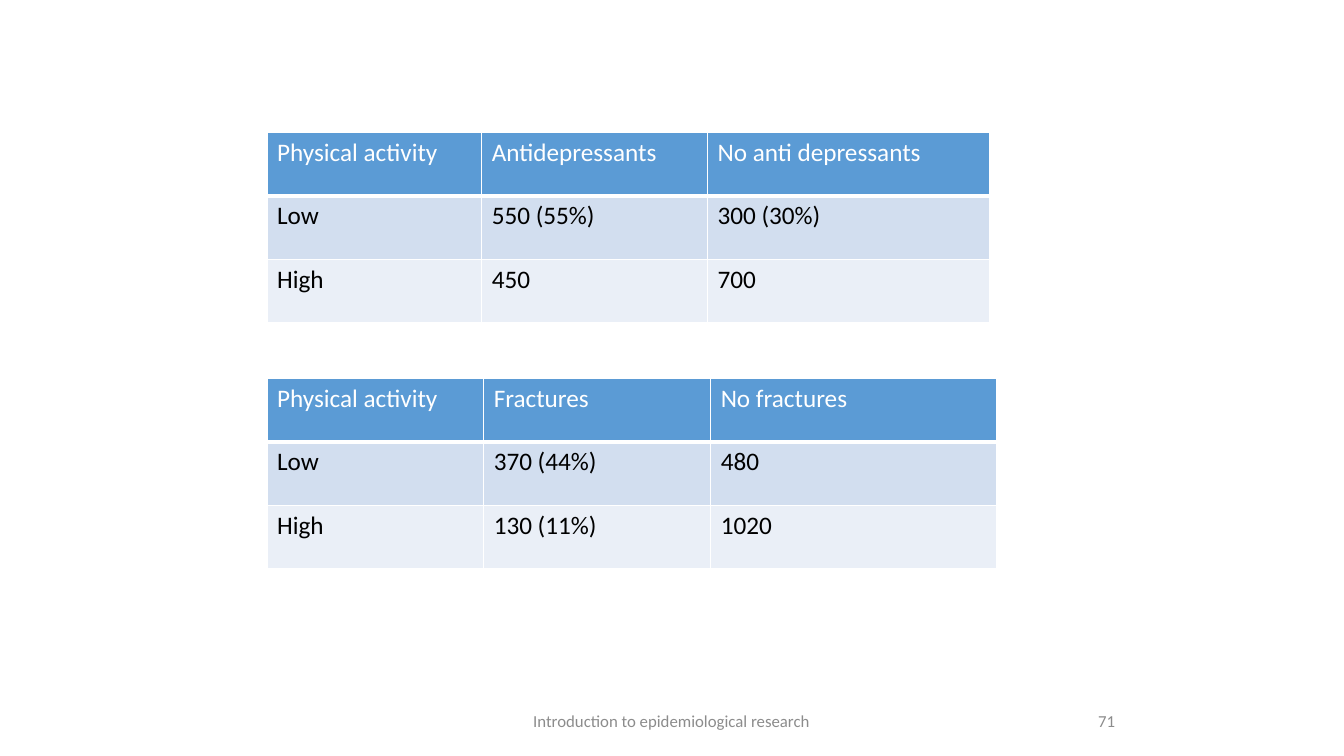
from lxml import etree
from pptx import Presentation
from pptx.dml.color import RGBColor
from pptx.enum import text
from pptx.oxml import ns
from pptx.util import Cm, Pt

FONT = "Calibri"
WHITE, BLACK, GREY = "FFFFFF", "000000", "8C8C8C"
ROW_FILLS = ["5B9BD5", "D2DEEF", "EAEFF7"]
LEFT, ROW_HEIGHT = 6.73, 1.6

ACTIVITY_TABLES = [
    {
        "top": 3.33,
        "widths": [5.41, 5.69, 7.11],
        "rows": [
            ("Physical activity", "Antidepressants", "No anti depressants"),
            ("Low", "550 (55%)", "300 (30%)"),
            ("High", "450", "700"),
        ],
    },
    {
        "top": 9.53,
        "widths": [5.46, 5.72, 7.21],
        "rows": [
            ("Physical activity", "Fractures", "No fractures"),
            ("Low", "370 (44%)", "480"),
            ("High", "130 (11%)", "1020"),
        ],
    },
]

FOOTER_TOP, FOOTER_HEIGHT = 17.65, 1.02
FOOTERS = [
    ("Introduction to epidemiological research", 12.9, 8.05, text.PP_ALIGN.CENTER),
    ("71", 22.43, 5.92, text.PP_ALIGN.RIGHT),
]


def color(value):
    return RGBColor.from_string(value)


def style(paragraph, size, value):
    font = paragraph.font
    font.name, font.size, font.bold = FONT, Pt(size), False
    font.color.rgb = color(value)


def add_borders(cell, bottom):
    properties = cell._tc.get_or_add_tcPr()
    for side, width in (("L", 1), ("R", 1), ("T", 1), ("B", bottom)):
        border = etree.SubElement(properties, ns.qn(f"a:ln{side}"), w=str(Pt(width)))
        fill = etree.SubElement(border, ns.qn("a:solidFill"))
        etree.SubElement(fill, ns.qn("a:srgbClr"), val=WHITE)


def add_activity_table(slide, top, widths, rows):
    table = slide.shapes.add_table(
        len(rows), len(widths), Cm(LEFT), Cm(top),
        Cm(sum(widths)), Cm(ROW_HEIGHT * len(rows)),
    ).table
    for column, width in zip(table.columns, widths):
        column.width = Cm(width)
    for r, (values, fill) in enumerate(zip(rows, ROW_FILLS)):
        header = r == 0
        table.rows[r].height = Cm(ROW_HEIGHT)
        for c, value in enumerate(values):
            cell = table.cell(r, c)
            cell.text = value
            style(cell.text_frame.paragraphs[0], 18, WHITE if header else BLACK)
            add_borders(cell, 3 if header else 1)
            cell.fill.solid()
            cell.fill.fore_color.rgb = color(fill)


def add_footer(slide, wording, left, width, alignment):
    frame = slide.shapes.add_textbox(
        Cm(left), Cm(FOOTER_TOP), Cm(width), Cm(FOOTER_HEIGHT)
    ).text_frame
    frame.word_wrap = True
    frame.vertical_anchor = text.MSO_ANCHOR.MIDDLE
    paragraph = frame.paragraphs[0]
    paragraph.text = wording
    paragraph.alignment = alignment
    style(paragraph, 12, GREY)


def main():
    deck = Presentation()
    deck.slide_width, deck.slide_height = Cm(33.87), Cm(19.05)
    slide = deck.slides.add_slide(deck.slide_layouts[6])
    for footer in FOOTERS:
        add_footer(slide, *footer)
    for activity in ACTIVITY_TABLES:
        add_activity_table(slide, **activity)
    deck.save("out.pptx")


if __name__ == "__main__":
    main()
